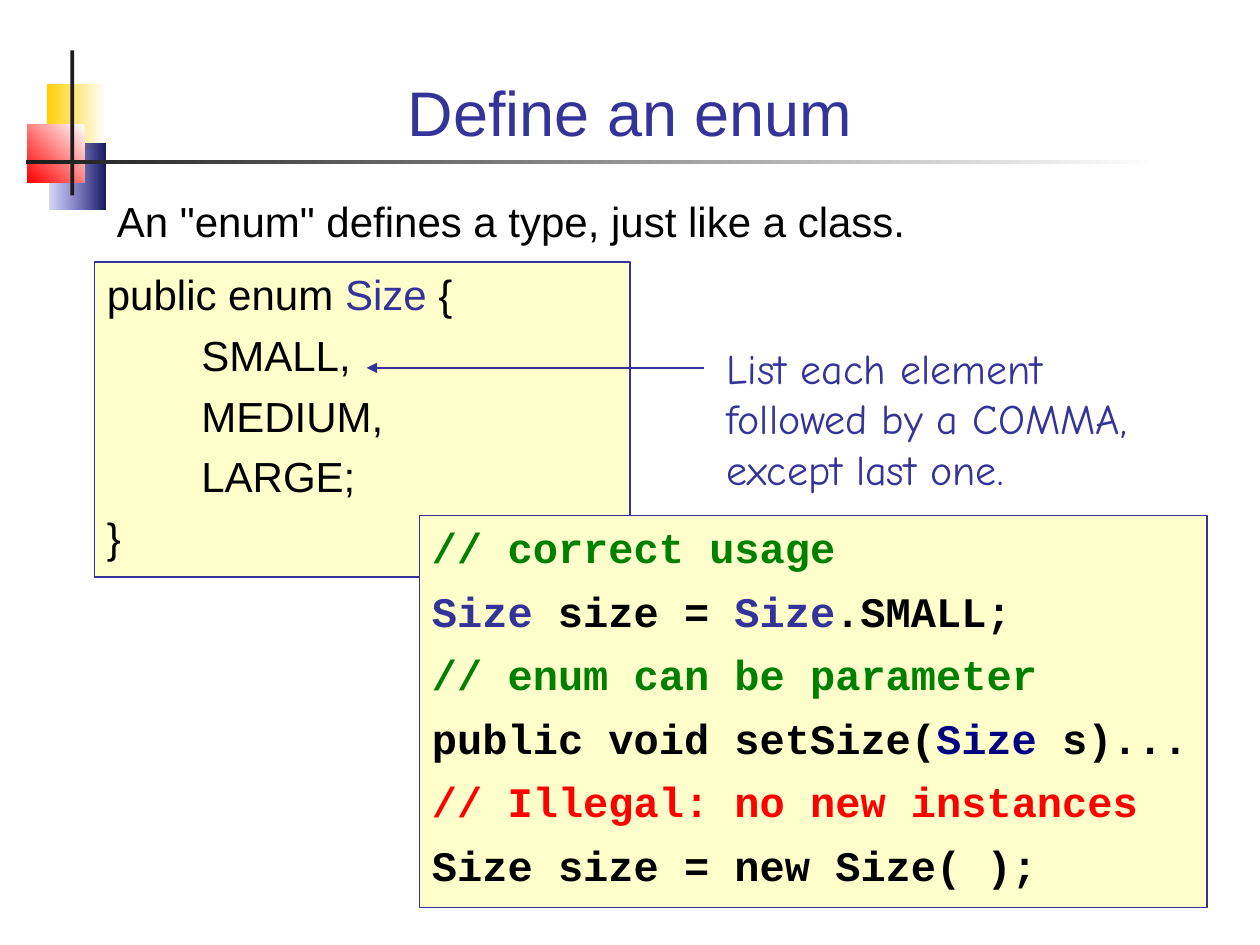
from lxml import etree
from pptx import Presentation
from pptx import util as u
from pptx.dml.color import RGBColor
from pptx.enum import shapes, text
from pptx.oxml.ns import qn

Inches = u.Inches
WHITE = RGBColor(0xFF, 0xFF, 0xFF)
BLACK = RGBColor(0x00, 0x00, 0x00)
INK = RGBColor(0x1C, 0x1C, 0x1C)
INDIGO = RGBColor(0x33, 0x33, 0x99)
NAVY = RGBColor(0x00, 0x00, 0x80)
GREEN = RGBColor(0x00, 0x80, 0x00)
RED = RGBColor(0xFF, 0x00, 0x00)
YELLOW = RGBColor(0xFF, 0xCF, 0x01)
MIDNIGHT = RGBColor(0x17, 0x17, 0x5E)
BLUE = RGBColor(0x33, 0x33, 0xCC)
CREAM = RGBColor(0xFF, 0xFF, 0xCC)

BODY = {"name": "Arial", "size": u.Pt(24), "bold": False}
TITLE = {**BODY, "size": u.Pt(36)}
NOTE = {**BODY, "name": "Comic Neue"}
CODE = {**BODY, "name": "Courier New", "bold": True}

ENUM_LINES = [
    (0, [("public enum ", BLACK), ("Size", INDIGO), (" {", BLACK)]),
    (1, [("SMALL,", BLACK)]),
    (1, [("MEDIUM,", BLACK)]),
    (1, [("LARGE;", BLACK)]),
    (0, [("}", BLACK)]),
]
USAGE_LINES = [
    (0, [("// correct usage", GREEN)]),
    (0, [("Size", INDIGO), (" size = ", BLACK), ("Size", INDIGO), (".SMALL;", BLACK)]),
    (0, [("// enum can be parameter", GREEN)]),
    (0, [("public void setSize(", BLACK), ("Size", NAVY), (" s)...", BLACK)]),
    (0, [("// Illegal: no new instances", RED)]),
    (0, [("Size size = new Size( );", BLACK)]),
]


def add_spans(para, spans, style):
    for words, color in spans:
        span = para.add_run()
        span.text = words
        for key, value in style.items():
            setattr(span.font, key, value)
        span.font.color.rgb = color


def add_rect(page, left, top, width, height):
    rect = page.shapes.add_shape(
        shapes.MSO_SHAPE.RECTANGLE, *map(Inches, (left, top, width, height)))
    rect.shadow.inherit = False
    rect.line.fill.background()
    return rect


def fill_gradient(shape, start, end, angle=180, end_alpha=None):
    """Blend start into end; the angle runs counter-clockwise."""
    shape.fill.gradient()
    shape.fill.gradient_angle = angle
    stops = shape.fill.gradient_stops
    for stop, color, position in zip(stops, (start, end), (0, 1)):
        stop.color.rgb = color
        stop.position = position
    if end_alpha is not None:
        last = shape.fill._fill._gradFill.findall(".//" + qn("a:srgbClr"))[-1]
        etree.SubElement(last, qn("a:alpha"), val=str(end_alpha * 1000))


def draw_ornament(page, left, top):
    """Three overlapping squares crossed by a bar and a fading rule."""
    fill_gradient(add_rect(page, left + 0.16, top + 0.27, 0.47, 0.52), WHITE, YELLOW)
    fill_gradient(add_rect(page, left + 0.18, top + 0.74, 0.45, 0.52),
                  MIDNIGHT, BLUE, end_alpha=20)
    fill_gradient(add_rect(page, left + 0.01, top + 0.59, 0.45, 0.46), WHITE, RED, 225)
    bar = add_rect(page, left + 0.35, top, 0.03, 1.15)
    bar.fill.solid()
    bar.fill.fore_color.rgb = INK
    fill_gradient(add_rect(page, left, top + 0.87, 8.99, 0.03), WHITE, INK)


def place_title(page, words, left, top, width, height):
    title = page.shapes.title
    title.left, title.top, title.width, title.height = map(
        Inches, (left, top, width, height))
    title.text_frame.vertical_anchor = text.MSO_ANCHOR.BOTTOM
    title.text_frame.word_wrap = True
    para = title.text_frame.paragraphs[0]
    para.alignment = text.PP_ALIGN.CENTER
    add_spans(para, [(words, INDIGO)], TITLE)


def add_label(page, words, color, style, left, top, width, height):
    label = page.shapes.add_textbox(*map(Inches, (left, top, width, height)))
    label.text_frame.word_wrap = True
    add_spans(label.text_frame.paragraphs[0], [(words, color)], style)


def add_code_box(page, lines, style, gap, left, top, width, height):
    """Framed code; each line is an indent level and its coloured spans."""
    box = add_rect(page, left, top, width, height)
    box.fill.solid()
    box.fill.fore_color.rgb = CREAM
    box.line.color.rgb = INDIGO
    box.line.width = u.Pt(0.75)
    frame = box.text_frame
    frame.word_wrap = True
    frame.vertical_anchor = text.MSO_ANCHOR.TOP
    for index, (level, spans) in enumerate(lines):
        para = frame.add_paragraph() if index else frame.paragraphs[0]
        para.alignment = text.PP_ALIGN.LEFT
        para.space_before = u.Pt(gap)
        para._p.get_or_add_pPr().set("marL", str(Inches(0.75 * level)))
        add_spans(para, spans, style)


def add_arrow(page, start, end):
    arrow = page.shapes.add_connector(
        shapes.MSO_CONNECTOR.STRAIGHT, *map(Inches, start + end))
    arrow.line.color.rgb = INDIGO
    arrow.line.width = u.Pt(0.75)
    etree.SubElement(arrow.line._get_or_add_ln(), qn("a:tailEnd"), type="triangle")
    etree.SubElement(arrow._element.spPr, qn("a:effectLst"))


def build_enum_page(deck):
    page = deck.slides.add_slide(deck.slide_layouts[5])
    draw_ornament(page, 0.21, 0.4)
    place_title(page, "Define an enum", 0.67, 0.28, 8.66, 0.95)
    add_code_box(page, ENUM_LINES, BODY, 6, 0.75, 2.08, 4.25, 2.5)
    add_label(page, 'An "enum" defines a type, just like a class.',
              BLACK, BODY, 0.83, 1.5, 8.33, 0.5)
    add_code_box(page, USAGE_LINES, CODE, 7.5, 3.33, 4.09, 6.25, 3.11)
    add_label(page, "List each element followed by a COMMA, except last one.",
              INDIGO, NOTE, 5.67, 2.67, 3.92, 1.3)
    add_arrow(page, (5.59, 2.92), (2.91, 2.92))


def main():
    deck = Presentation()
    deck.slide_width, deck.slide_height = Inches(10), Inches(7.5)
    build_enum_page(deck)
    deck.save("out.pptx")


if __name__ == "__main__":
    main()
